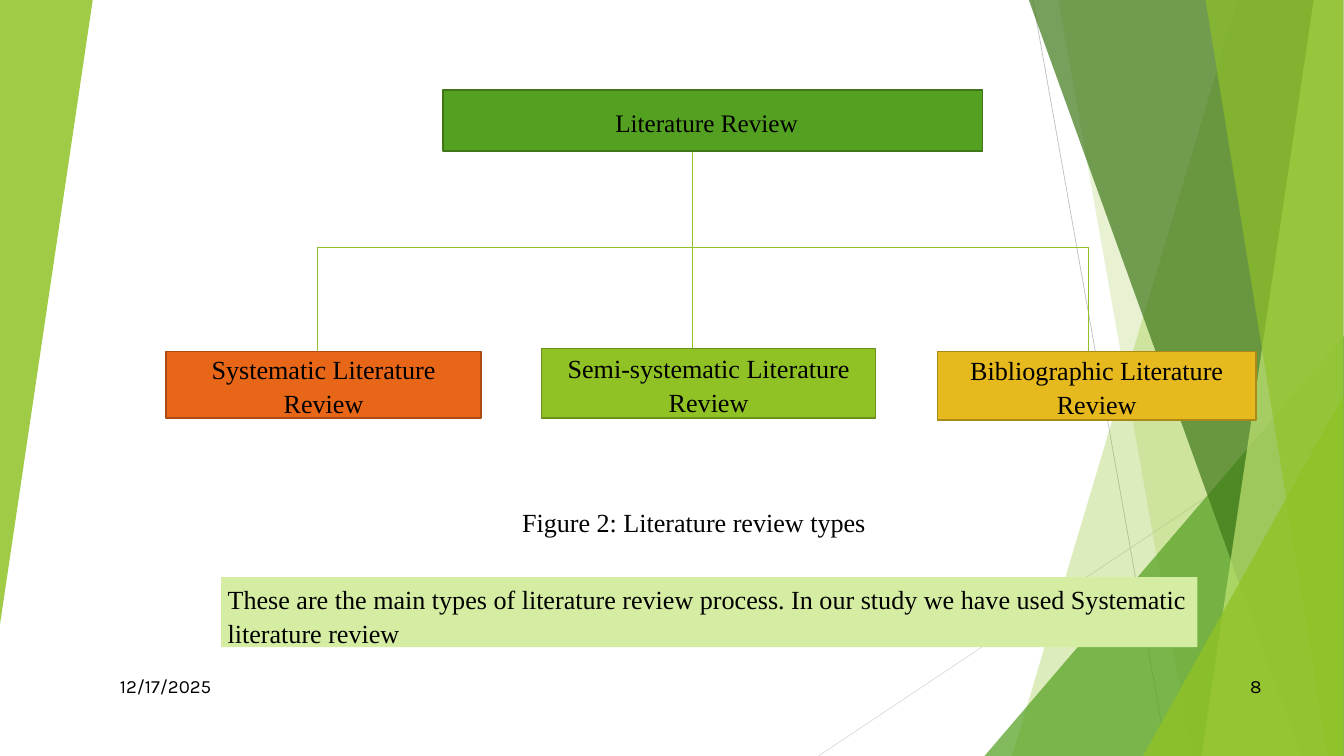
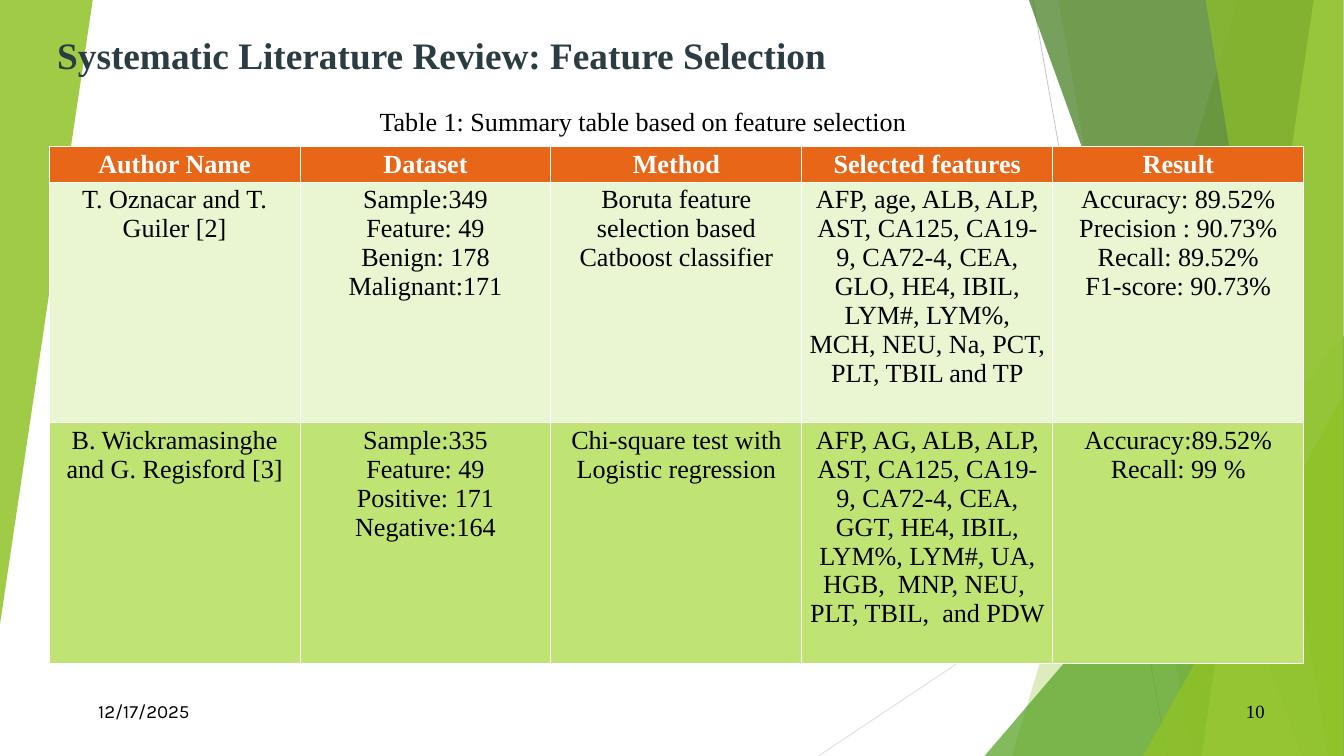
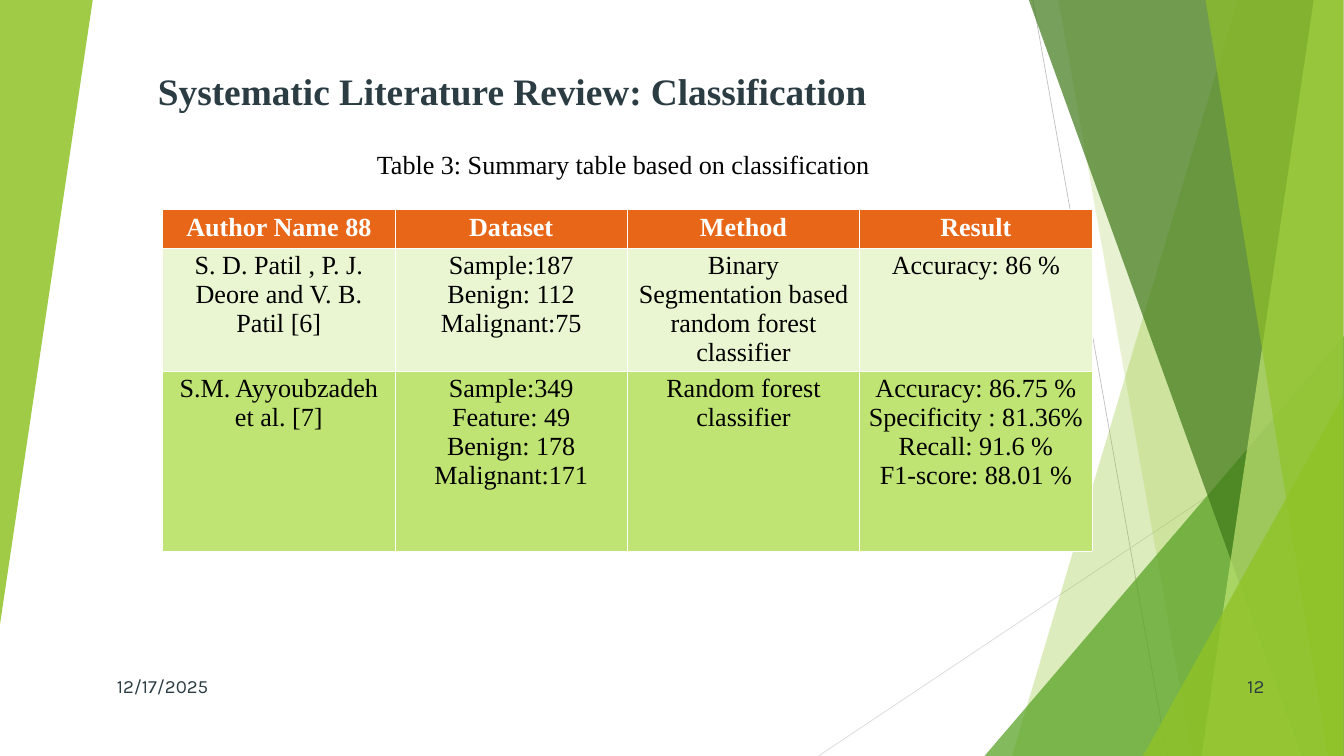
from dataclasses import dataclass

from lxml.etree import SubElement
from pptx import Presentation
from pptx.dml.color import RGBColor
from pptx.enum.shapes import MSO_CONNECTOR, MSO_SHAPE
from pptx.enum.text import MSO_ANCHOR, MSO_AUTO_SIZE, PP_ALIGN
from pptx.oxml.ns import qn
from pptx.util import Inches, Pt


@dataclass(frozen=True)
class Theme:
    serif: str = "Times New Roman"
    sans: str = "Karla"
    black: str = "000000"
    white: str = "FFFFFF"
    slate: str = "2C3C43"
    lime: str = "90C226"
    green: str = "54A021"
    forest: str = "3F7819"
    light_lime: str = "C0E474"
    pale_lime: str = "EAF6D1"
    note: str = "D5EDA2"
    orange: str = "E76618"
    gold: str = "E6B91E"
    title_size: int = 40
    body_size: int = 28
    root_size: int = 27
    footer_size: int = 20


theme = Theme()
rgb = RGBColor.from_string


def write(tf, text, size=theme.body_size, color=theme.black, align=PP_ALIGN.LEFT,
          bold=False, font=theme.serif, spacing=1.0):
    tf.text = text
    tf.word_wrap = True
    for p in tf.paragraphs:
        p.alignment = align
        p.line_spacing = spacing
        for r in p.runs:
            r.font.name = font
            r.font.size = Pt(size)
            r.font.bold = bold
            r.font.color.rgb = rgb(color)


def draw_line(shapes, x1, y1, x2, y2, color, width):
    cxn = shapes.add_connector(MSO_CONNECTOR.STRAIGHT, Inches(x1), Inches(y1), Inches(x2), Inches(y2))
    cxn.line.color.rgb = rgb(color)
    cxn.line.width = Pt(width)
    SubElement(cxn.element.spPr, qn("a:effectLst"))


prs = Presentation()
prs.slide_width = Inches(20)
prs.slide_height = Inches(11.25)
title_only, blank = prs.slide_layouts[5], prs.slide_layouts[6]

types_slide = prs.slides.add_slide(blank)
features_slide = prs.slides.add_slide(title_only)
classes_slide = prs.slides.add_slide(title_only)

backdrop = types_slide.shapes.add_group_shape()
draw_line(backdrop.shapes, 15.37, 0, 17.37, 11.25, "BFBFBF", 0.75)
draw_line(backdrop.shapes, 19.99, 6.04, 12.18, 11.25, "D9D9D9", 0.75)

bands = [
    ("quad", (18.42, 15.06), theme.lime, 30),
    ("quad", (15.75, 17.74), theme.lime, 20),
    ("triangle", (14.65, 5, 5.35, 6.25, 0), theme.green, 72),
    ("quad", (15.31, 19.37), theme.forest, 70),
    ("quad", (19.55, 17.88), theme.light_lime, 70),
    ("quad", (17.94, 19.76), theme.lime, 65),
    ("triangle", (17.01, 5.89, 2.98, 5.36, 0), theme.lime, 80),
    ("triangle", (0, 0, 1.38, 9.29, 180), theme.lime, 85),
]
for kind, geometry, color, opacity in bands:
    if kind == "quad":
        top_x, bottom_x = geometry
        builder = backdrop.shapes.build_freeform(Inches(top_x), 0)
        corners = [(19.99, 0), (19.99, 11.25), (bottom_x, 11.25)]
        builder.add_line_segments([(Inches(x), Inches(y)) for x, y in corners], close=True)
        sp = builder.convert_to_shape()
    else:
        x, y, w, h, turn = geometry
        sp = backdrop.shapes.add_shape(MSO_SHAPE.ISOSCELES_TRIANGLE, Inches(x), Inches(y), Inches(w), Inches(h))
        sp.adjustments[0] = 1.0
        sp.rotation = turn
    sp.shadow.inherit = False
    sp.line.fill.background()
    sp.fill.solid()
    sp.fill.fore_color.rgb = rgb(color)
    SubElement(sp.element.spPr.find(qn("a:solidFill"))[0], qn("a:alpha"), val=str(opacity * 1000))

for number, props in enumerate(backdrop.element.iter(qn("p:cNvPr")), 100):
    props.set("id", str(number))
prs.slide_master.shapes.element.insert(2, backdrop.element)

trunk_x, left_x, right_x, branch_y = 10.3, 4.73, 16.2, 3.68
branches = [
    (trunk_x, 2.25, trunk_x, 5.19),
    (right_x, branch_y, left_x, branch_y),
    (left_x, branch_y, left_x, 5.23),
    (right_x, branch_y, right_x, 5.23),
]
for ends in branches:
    draw_line(types_slide.shapes, *ends, theme.lime, 1)

boxes = [
    ("Literature Review", 6.59, 1.34, 8.03, 0.91, theme.green, "3E7618", theme.root_size, 0.28),
    ("Systematic Literature Review", 2.47, 5.23, 4.69, 0.99, theme.orange, "AB4B12", theme.body_size, 0.1),
    ("Semi-systematic Literature Review", 8.06, 5.19, 4.97, 1.03, theme.lime, "6B901C", theme.body_size, 0.1),
    ("Bibliographic Literature Review", 13.95, 5.23, 4.74, 1.02, theme.gold, "AA8916", theme.body_size, 0.1),
]
for text, x, y, w, h, fill, outline, size, right_inset in boxes:
    sp = types_slide.shapes.add_shape(MSO_SHAPE.RECTANGLE, Inches(x), Inches(y), Inches(w), Inches(h))
    sp.shadow.inherit = False
    sp.fill.solid()
    sp.fill.fore_color.rgb = rgb(fill)
    sp.line.color.rgb = rgb(outline)
    sp.line.width = Pt(1.5)
    tf = sp.text_frame
    tf.vertical_anchor = MSO_ANCHOR.MIDDLE
    tf.margin_right = Inches(right_inset)
    write(tf, text, size, align=PP_ALIGN.CENTER, spacing=1.09)

note = types_slide.shapes.add_textbox(Inches(3.29), Inches(8.59), Inches(14.53), Inches(1.04))
note.fill.solid()
note.fill.fore_color.rgb = rgb(theme.note)
write(note.text_frame, "These are the main types of literature review process. "
      "In our study we have used Systematic literature review", spacing=1.09)

tables = [
    (features_slide, "Systematic Literature Review: Feature Selection", (0.75, 0.43, 11.67),
     (0.73, 2.18, 18.67), (0.52, 3.58, 3.58), [
        ["Author Name", "Dataset", "Method", "Selected features", "Result"],
        ["T. Oznacar and T. Guiler [2]",
         "Sample:349\nFeature: 49\nBenign: 178\nMalignant:171",
         "Boruta feature selection based Catboost classifier",
         "AFP, age, ALB, ALP, AST, CA125, CA19-9, CA72-4, CEA, GLO, HE4, IBIL, "
         "LYM#, LYM%, MCH, NEU, Na, PCT, PLT, TBIL and TP",
         "Accuracy: 89.52%\nPrecision : 90.73%\nRecall: 89.52%\nF1-score: 90.73%"],
        ["B. Wickramasinghe and G. Regisford [3]",
         "Sample:335\nFeature: 49\nPositive: 171\nNegative:164",
         "Chi-square test with Logistic regression",
         "AFP, AG, ALB, ALP, AST, CA125, CA19-9, CA72-4, CEA, GGT, HE4, IBIL, "
         "LYM%, LYM#, UA, HGB,  MNP, NEU,  PLT, TBIL,  and PDW",
         "Accuracy:89.52%\nRecall: 99 %"],
    ]),
    (classes_slide, "Systematic Literature Review: Classification", (2.25, 0.96, 15.52),
     (2.42, 3.12, 13.83), (0.57, 1.83, 2.68), [
        ["Author Name 88", "Dataset", "Method", "Result"],
        ["S. D. Patil , P. J. Deore and V. B. Patil [6]",
         "Sample:187\nBenign: 112\nMalignant:75",
         "Binary Segmentation based random forest classifier",
         "Accuracy: 86 %"],
        ["S.M. Ayyoubzadeh et al. [7]",
         "Sample:349\nFeature: 49\nBenign: 178\nMalignant:171",
         "Random forest classifier",
         "Accuracy: 86.75 %\nSpecificity : 81.36%\nRecall: 91.6 %\nF1-score: 88.01 %"],
    ]),
]
row_fills = [theme.orange, theme.pale_lime, theme.light_lime]
for s, heading, (title_x, title_y, title_w), (x, y, w), heights, rows in tables:
    title = s.shapes.title
    title.left, title.top = Inches(title_x), Inches(title_y)
    title.width, title.height = Inches(title_w), Inches(0.77)
    title.text_frame.auto_size = MSO_AUTO_SIZE.NONE
    title.text_frame.vertical_anchor = MSO_ANCHOR.TOP
    write(title.text_frame, heading, theme.title_size, theme.slate, bold=True)

    table = s.shapes.add_table(len(rows), len(rows[0]), Inches(x), Inches(y),
                               Inches(w), Inches(sum(heights))).table
    for i, (height, fill, values) in enumerate(zip(heights, row_fills, rows)):
        table.rows[i].height = Inches(height)
        for cell, value in zip(table.rows[i].cells, values):
            cell.fill.solid()
            cell.fill.fore_color.rgb = rgb(fill)
            write(cell.text_frame, value, color=theme.black if i else theme.white,
                  align=PP_ALIGN.CENTER, bold=i == 0)

captions = [
    (types_slide, "Figure 2: Literature review types", 7.67, 7.49, 5.37),
    (features_slide, "Table 1: Summary table based on feature selection", 5.55, 1.52, 9.67),
    (classes_slide, "Table 3: Summary table based on classification", 5.51, 2.16, 9.67),
]
for s, text, x, y, w in captions:
    caption = s.shapes.add_textbox(Inches(x), Inches(y), Inches(w), Inches(0.57))
    write(caption.text_frame, text)

footers = [
    (types_slide, "8", 1.55, 1.83, 18.13, 9.91, PP_ALIGN.CENTER, theme.sans, theme.black),
    (features_slide, "10", 1, 1.92, 18.12, 10.28, PP_ALIGN.RIGHT, theme.serif, theme.black),
    (classes_slide, "12", 1.46, 1.92, 18.13, 9.91, PP_ALIGN.CENTER, theme.sans, theme.slate),
]
for s, number, date_x, date_w, number_x, y, date_align, number_font, color in footers:
    parts = [
        ("12/17/2025", date_x, date_w, date_align, theme.sans),
        (number, number_x, 1.12, PP_ALIGN.CENTER, number_font),
    ]
    for text, x, w, align, font in parts:
        footer = s.shapes.add_textbox(Inches(x), Inches(y), Inches(w), Inches(0.6))
        footer.text_frame.vertical_anchor = MSO_ANCHOR.MIDDLE
        write(footer.text_frame, text, theme.footer_size, color, align, font=font)

prs.save("out.pptx")
